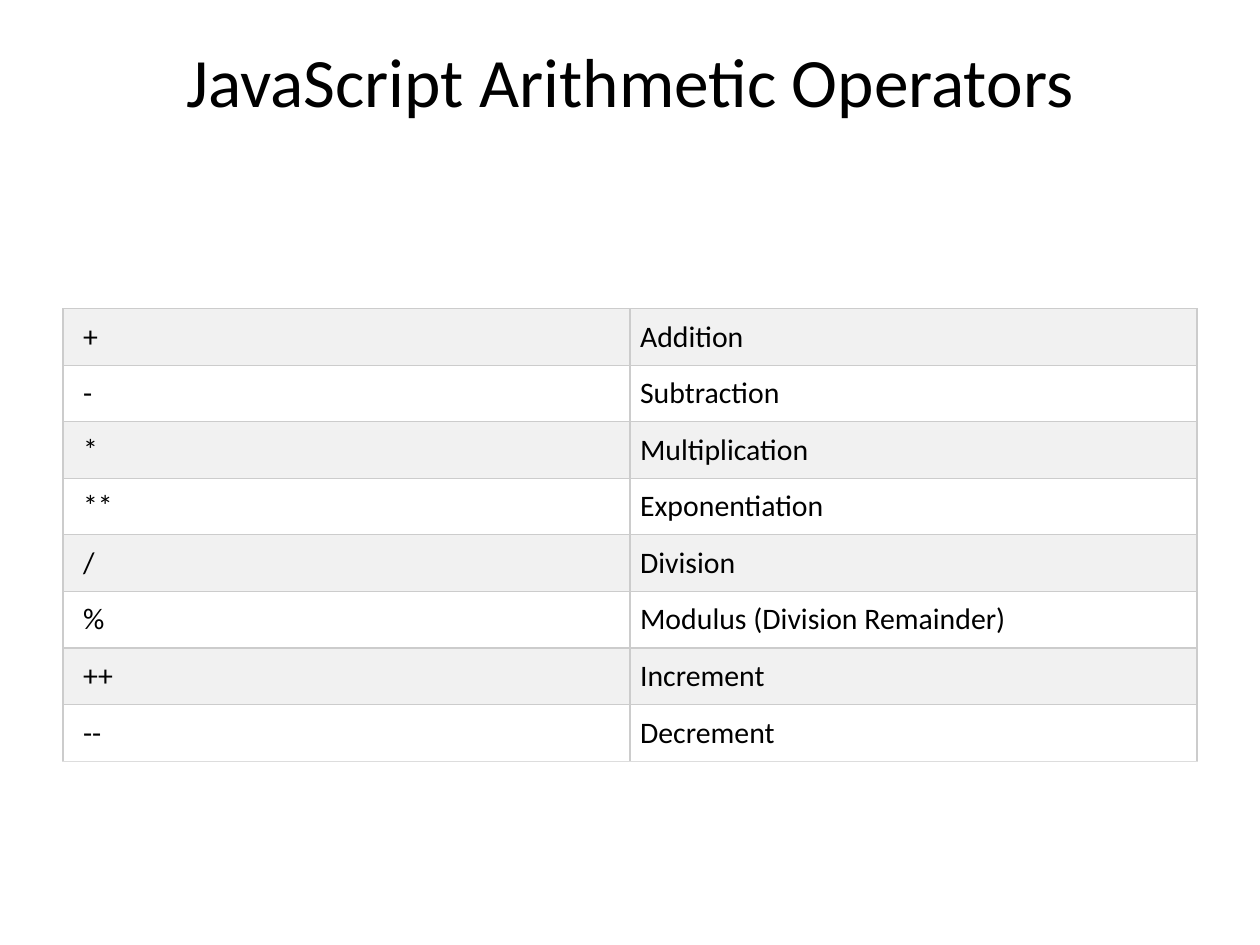
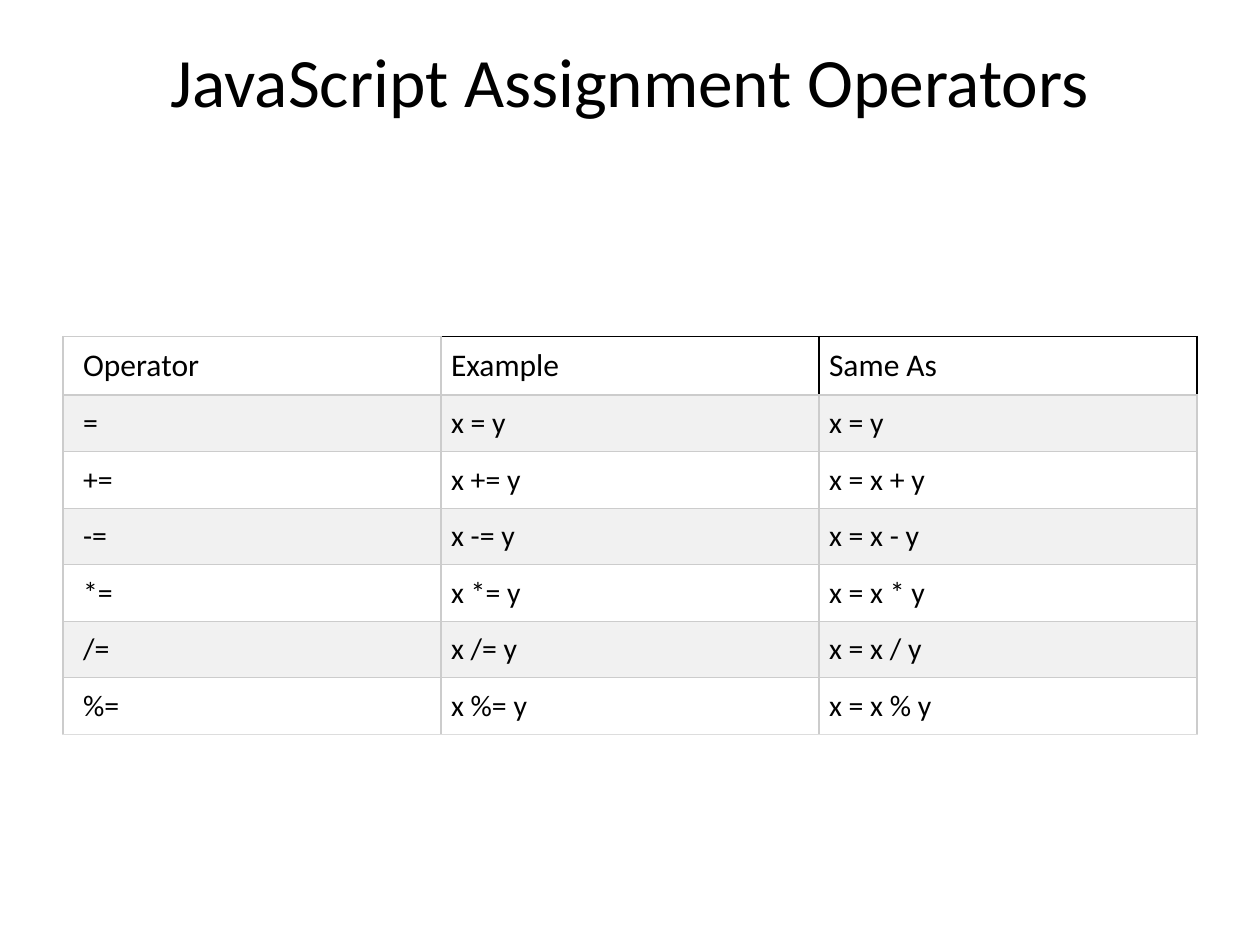
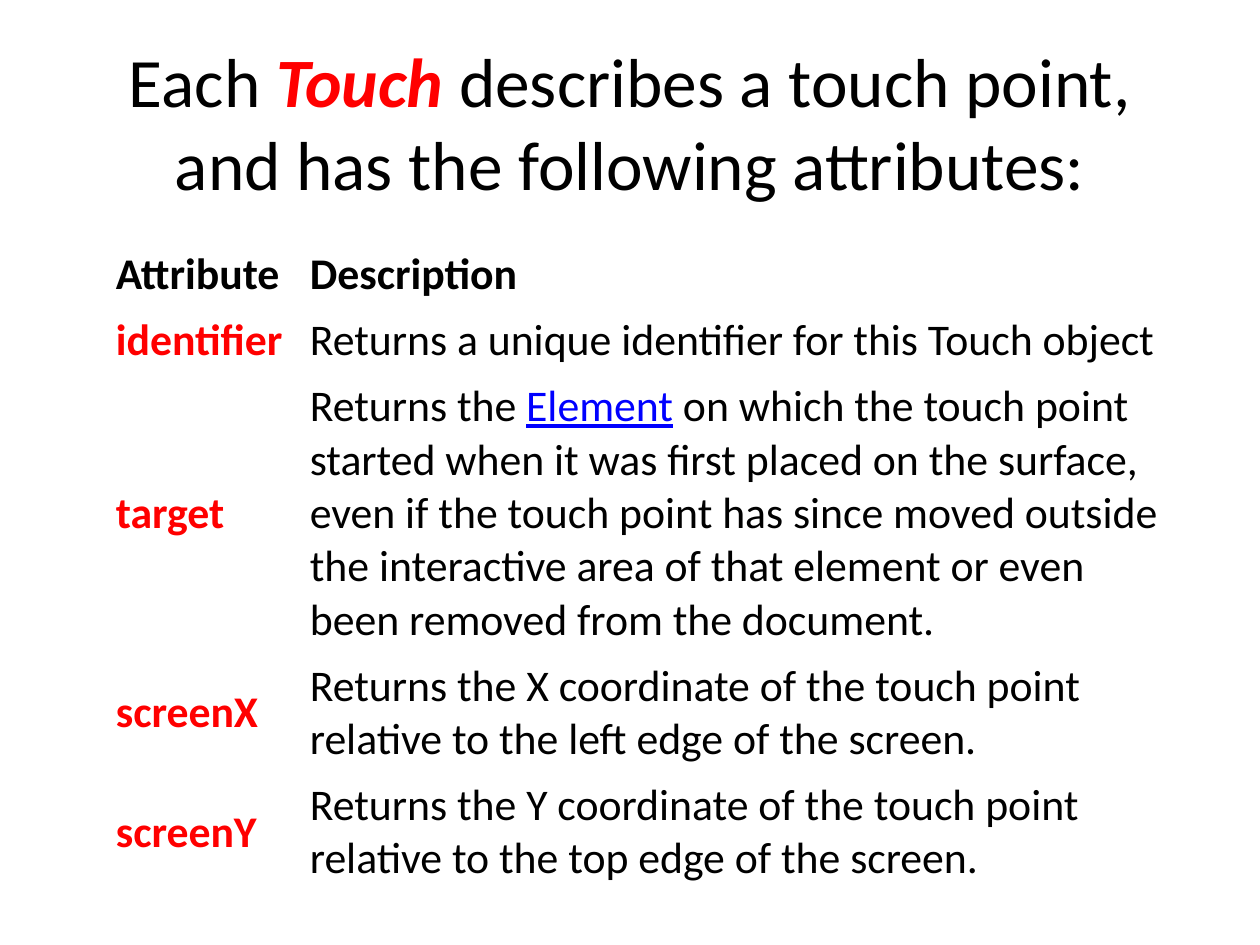
from lxml.etree import SubElement
from pptx import Presentation
from pptx.dml.color import RGBColor
from pptx.enum.text import MSO_ANCHOR, MSO_AUTO_SIZE, PP_ALIGN
from pptx.oxml import parse_xml
from pptx.oxml.ns import nsdecls, qn
from pptx.util import Inches, Pt

BLACK = RGBColor(0x00, 0x00, 0x00)
WHITE = RGBColor(0xFF, 0xFF, 0xFF)
BAND = RGBColor(0xF1, 0xF1, 0xF1)
GRID = RGBColor(0xCC, 0xCC, 0xCC)
FOOT = RGBColor(0xDD, 0xDD, 0xDD)
RED = RGBColor(0xFF, 0x00, 0x00)
BLUE = RGBColor(0x00, 0x00, 0xFF)
FONT = "Calibri"

SIGNS = [
    ("+", "Addition"),
    ("-", "Subtraction"),
    ("*", "Multiplication"),
    ("**", "Exponentiation"),
    ("/", "Division"),
    ("%", "Modulus (Division Remainder)"),
    ("++", "Increment"),
    ("--", "Decrement"),
]
ASSIGN = [("Operator", "Example", "Same As"), ("=", "x = y", "x = y")]
ASSIGN += [(f"{op}=", f"x {op}= y", f"x = x {op} y") for op in "+-*/%"]

TOUCH = [
    ("Attribute", ["Description"]),
    ("identifier", ["Returns a unique identifier for this Touch object"]),
    ("target", [
        "Returns the ",
        ("Element", {"color": BLUE, "underline": True}),
        " on which the touch point started when it was first placed on the "
        "surface, even if the touch point has since moved outside the "
        "interactive area of that element or even been removed from the "
        "document.",
    ]),
]
TOUCH += [
    (f"screen{axis}", [f"Returns the {axis} coordinate of the touch point "
                       f"relative to the {edge} edge of the screen."])
    for axis, edge in (("X", "left"), ("Y", "top"))
]


class Deck:
    def __init__(self):
        self.prs = Presentation()
        self.prs.slide_width = Inches(10)
        self.prs.slide_height = Inches(7.5)
        self.slide = None

    def text(self, para, parts, size, **base):
        """Fill a paragraph with strings or (string, style) pairs."""
        for part in parts:
            words, extra = (part, {}) if isinstance(part, str) else part
            look = {"color": BLACK, "bold": False, "italic": False,
                    "underline": False, **base, **extra}
            run = para.add_run()
            run.text = words
            font = run.font
            font.name, font.size = FONT, Pt(size)
            font.color.rgb = look["color"]
            font.bold = look["bold"]
            font.italic = look["italic"]
            font.underline = look["underline"]

    def page(self, *title):
        """Start a slide with its title."""
        self.slide = self.prs.slides.add_slide(self.prs.slide_layouts[5])
        head = self.slide.shapes.title
        head.left, head.top = Inches(0.5), Inches(0.3)
        head.width, head.height = Inches(9), Inches(1.25)
        frame = head.text_frame
        frame.word_wrap = True
        frame.auto_size = MSO_AUTO_SIZE.NONE
        frame.vertical_anchor = MSO_ANCHOR.TOP
        frame.margin_top = 0
        para = frame.paragraphs[0]
        para.alignment = PP_ALIGN.CENTER
        self.text(para, title, 39.6)

    def table(self, left, top, widths, heights):
        """Add a plain table without the banded style."""
        frame = self.slide.shapes.add_table(
            len(heights), len(widths), Inches(left), Inches(top),
            Inches(sum(widths)), Inches(sum(heights)))
        table = frame.table
        table.first_row = table.horz_banding = False
        for col, width in zip(table.columns, widths):
            col.width = Inches(width)
        for row, height in zip(table.rows, heights):
            row.height = Inches(height)
        return table

    def cell(self, cell, parts, size, fill, pads, **base):
        """Set text, fill and pads; pads run left, top, right, bottom."""
        (cell.margin_left, cell.margin_top, cell.margin_right,
         cell.margin_bottom) = map(Inches, pads)
        cell.fill.solid()
        cell.fill.fore_color.rgb = fill
        self.text(cell.text_frame.paragraphs[0], parts, size, **base)

    def edge(self, cell, colors):
        """Draw the cell borders, given as left, right, top, bottom."""
        props = cell._tc.get_or_add_tcPr()
        for spot, (side, color) in enumerate(zip("LRTB", colors)):
            line = parse_xml(f'<a:ln{side} {nsdecls("a")} w="{Pt(0.75)}"/>')
            fill = SubElement(line, qn("a:solidFill"))
            SubElement(fill, qn("a:srgbClr")).set("val", str(color))
            props.insert(spot, line)

    def grid(self, rows, top, header=False):
        """Add a ruled table with shaded bands below an optional header."""
        count, last = len(rows[0]), len(rows) - 1
        table = self.table(0.5, top, [9 / count] * count, [0.44] * len(rows))
        for i, row in enumerate(rows):
            head = header and i == 0
            fill = BAND if i % 2 == int(header) else WHITE
            for j, words in enumerate(row):
                cell = table.cell(i, j)
                pads = (0.08 if j else 0.16, 0.08, 0.08, 0.08)
                self.cell(cell, [words], 18 if head else 17, fill, pads)
                if head and j:
                    colors = (GRID if j == 1 else BLACK, BLACK, BLACK, GRID)
                else:
                    colors = (GRID, GRID, GRID, FOOT if i == last else GRID)
                self.edge(cell, colors)

    def terms(self, rows):
        """Add an unruled table of bold names and their meanings."""
        table = self.table(0.83, 1.92, [1.54, 6.92],
                           [0.4, 0.4, 1.06, 0.4, 0.4])
        pads = (0.09, 0.05, 0.09, 0.05)
        for i, (name, about) in enumerate(rows):
            left, right = table.cell(i, 0), table.cell(i, 1)
            self.cell(left, [name], 25, WHITE, pads, bold=True,
                      color=RED if i else BLACK)
            self.cell(right, about, 25, WHITE, pads, bold=i == 0)
            for cell in (left, right):
                cell.vertical_anchor = MSO_ANCHOR.MIDDLE


def main():
    deck = Deck()
    deck.page("JavaScript Arithmetic Operators")
    deck.grid(SIGNS, 2.45)
    deck.page("JavaScript Assignment Operators")
    deck.grid(ASSIGN, 2.67, header=True)
    deck.page("Each ",
              ("Touch", {"color": RED, "bold": True, "italic": True}),
              " describes a touch point, and has the following attributes:")
    deck.terms(TOUCH)
    deck.prs.save("out.pptx")


if __name__ == "__main__":
    main()
